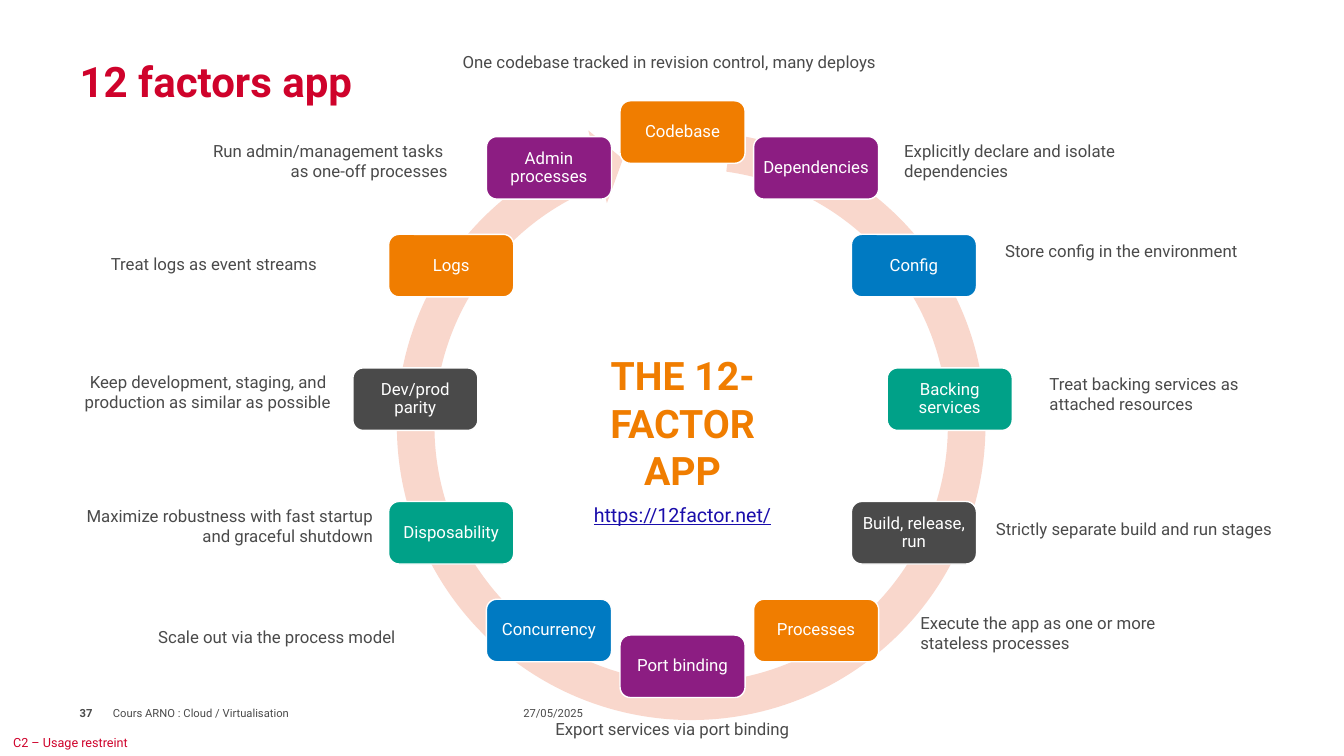
from math import cos, radians, sin

from pptx import Presentation
from pptx.dml.color import RGBColor
from pptx.enum.shapes import MSO_SHAPE as Shape
from pptx.enum.text import MSO_ANCHOR as Anchor, PP_ALIGN as Align
from pptx.util import Inches, Pt

# Content
COLOURS = {
    "red": "CF022B", "grey": "4A4A4A", "white": "FFFFFF", "ring": "F9D7CC",
    "orange": "F07D00", "purple": "8C1D82", "blue": "007AC2", "green": "00A188",
    "link": "1A0DAB",
}
FACTORS = [
    "Codebase", "Dependencies", "Config", "Backing services",
    "Build, release, run", "Processes", "Port binding", "Concurrency",
    "Disposability", "Dev/prod parity", "Logs", "Admin processes",
]
FACTOR_CYCLE = ["orange", "purple", "blue", "green", "grey"]
# lines, left, top, width, alignment, wraps
DESCRIPTIONS = [
    (["One codebase tracked in revision control, many deploys"], 4.49, 0.46, 4.35, Align.LEFT, False),
    (["Explicitly declare and isolate dependencies"], 8.87, 1.35, 2.5, Align.LEFT, True),
    (["Store config in the environment"], 9.87, 2.34, 2.56, Align.LEFT, False),
    (["Treat backing services as", "attached resources"], 10.31, 3.66, 2.11, Align.LEFT, False),
    (["Strictly separate build and run stages"], 9.78, 5.1, 2.97, Align.LEFT, False),
    (["Execute the app as one or more", "stateless processes"], 9.03, 6.03, 2.64, Align.LEFT, False),
    (["Export services via port binding"], 5.41, 7.08, 2.54, Align.LEFT, False),
    (["Scale out via the process model"], 1.47, 6.17, 2.56, Align.LEFT, False),
    (["Maximize robustness with fast startup ", "and graceful shutdown"], 0.74, 4.97, 3.06, Align.RIGHT, False),
    (["Keep development, staging, and ", "production as similar as possible"], 0.73, 3.64, 2.65, Align.RIGHT, False),
    (["Treat logs as event streams"], 1.0, 2.47, 2.25, Align.LEFT, False),
    (["Run admin/management tasks ", "as one-off processes"], 2.01, 1.35, 2.53, Align.RIGHT, False),
]
# text, box, anchor, size, colour, bold
LABELS = [
    ("C2 – Usage restreint", (0.13, 7.23, 1.3, 0.27), Anchor.MIDDLE, 9, "red", False),
    ("37", (0.79, 6.93, 0.39, 0.28), Anchor.MIDDLE, 8, "grey", True),
    ("12 factors app", (0.79, 0.03, 11.76, 1.02), Anchor.BOTTOM, 30, "red", True),
    ("27/05/2025", (5.19, 6.93, 0.67, 0.28), Anchor.MIDDLE, 8, "grey", False),
    ("Cours ARNO : Cloud / Virtualisation", (1.12, 6.93, 3.94, 0.28), Anchor.MIDDLE, 8, "grey", False),
]
CENTRE_X, CENTRE_Y, RADIUS = 6.77, 3.96, 2.65
FACTOR_W, FACTOR_H = 1.24, 0.62
ARROW_BOX = (3.75, 1.12, 6.21, 6.21)
ARROW_ADJUSTMENTS = [0.06, 3.31, 150.09, 166.72, 0.06]

deck = Presentation()
deck.slide_width, deck.slide_height = Inches(13.33), Inches(7.5)
slide = deck.slides.add_slide(deck.slide_layouts[6])


def rgb(name):
    return RGBColor.from_string(COLOURS[name])


def set_frame(frame, inset=None, **settings):
    if inset is not None:
        for side in ("left", "right", "top", "bottom"):
            settings[f"margin_{side}"] = Inches(inset)
    for name, value in settings.items():
        setattr(frame, name, value)


def write(frame, lines, size, colour, align=Align.LEFT, bold=False):
    for number, line in enumerate(lines):
        paragraph = frame.add_paragraph() if number else frame.paragraphs[0]
        paragraph.alignment = align
        run = paragraph.add_run()
        run.text = line
        font_format = {"name": "Roboto", "size": Pt(size), "bold": bold}
        for name, value in font_format.items():
            setattr(run.font, name, value)
        run.font.color.rgb = rgb(colour)


def add_text(box, **settings):
    frame = slide.shapes.add_textbox(*map(Inches, box)).text_frame
    set_frame(frame, **settings)
    return frame


def add_filled(kind, box, colour):
    shape = slide.shapes.add_shape(kind, *map(Inches, box))
    shape.shadow.inherit = False
    shape.fill.solid()
    shape.fill.fore_color.rgb = rgb(colour)
    return shape


# Ring arrow
ring = add_filled(Shape.CIRCULAR_ARROW, ARROW_BOX, "ring")
ring.line.fill.background()
for index, value in enumerate(ARROW_ADJUSTMENTS):
    ring.adjustments[index] = value

# Factors, clockwise from the top
for index, factor in enumerate(FACTORS):
    angle = radians(index * 360 / len(FACTORS))
    left = CENTRE_X + RADIUS * sin(angle) - FACTOR_W / 2
    top = CENTRE_Y - RADIUS * cos(angle) - FACTOR_H / 2
    tile = add_filled(Shape.ROUNDED_RECTANGLE, (left, top, FACTOR_W, FACTOR_H),
                      FACTOR_CYCLE[index % len(FACTOR_CYCLE)])
    tile.line.color.rgb = rgb("white")
    tile.line.width = Pt(1)
    set_frame(tile.text_frame, inset=0.05, word_wrap=True, vertical_anchor=Anchor.MIDDLE)
    write(tile.text_frame, [factor], 12, "white", Align.CENTER)
    tile.text_frame.paragraphs[0].line_spacing = 0.9

# Centre heading and address
heading = add_text((5.41, 3.44, 2.72, 1.38), word_wrap=True)
write(heading, ["THE 12-FACTOR", "APP"], 28, "orange", Align.CENTER, True)
address = heading.add_paragraph()
address.alignment = Align.CENTER
address.space_before = Pt(7)
address_run = address.add_run()
address_run.text = "https://12factor.net/"
for name, value in {"name": "Roboto", "size": Pt(14), "underline": True}.items():
    setattr(address_run.font, name, value)
address_run.font.color.rgb = rgb("link")

# Descriptions around the ring
for lines, left, top, width, align, wraps in DESCRIPTIONS:
    height = 0.5 if wraps or len(lines) > 1 else 0.3
    write(add_text((left, top, width, height), word_wrap=wraps), lines, 12, "grey", align)

# Title and footer
for text, box, anchor, size, colour, bold in LABELS:
    frame = add_text(box, inset=0, word_wrap=True, vertical_anchor=anchor)
    write(frame, [text], size, colour, bold=bold)

deck.save("out.pptx")
